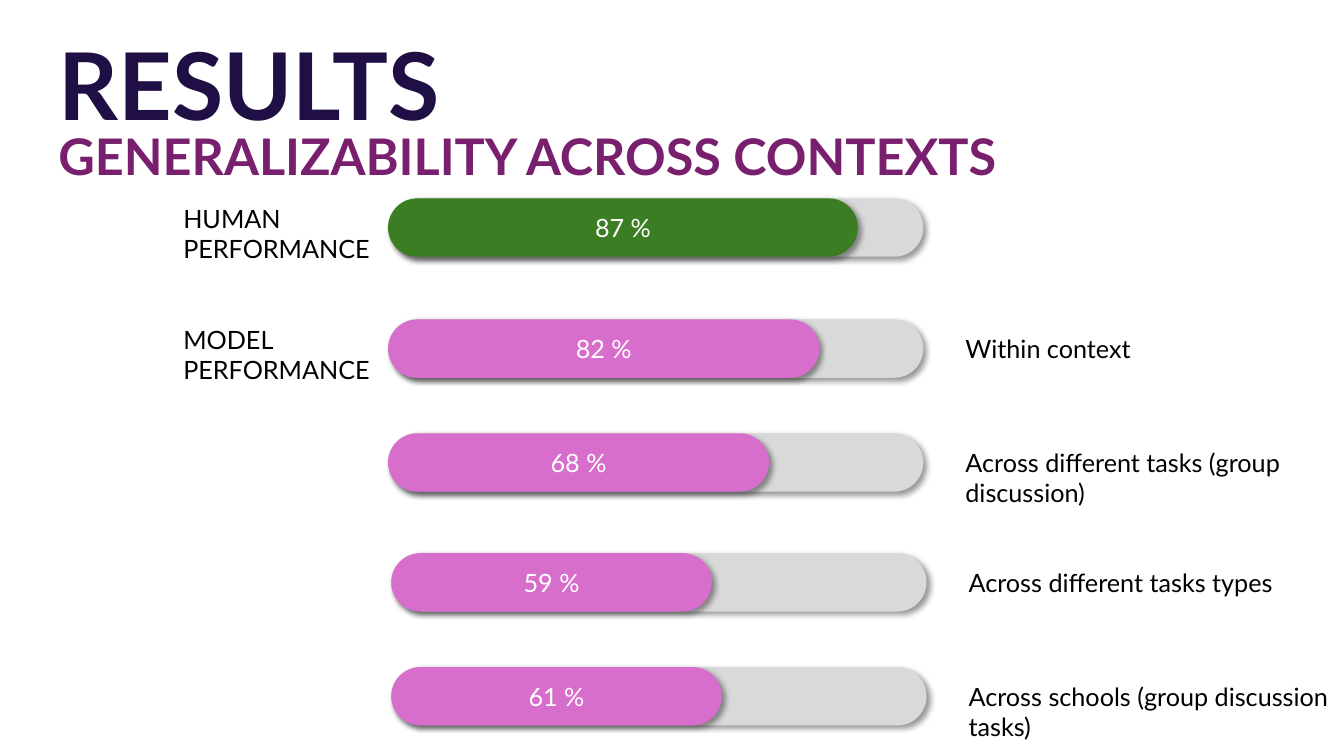
from lxml.etree import SubElement
from pptx import Presentation
from pptx.dml.color import RGBColor
from pptx.enum.shapes import MSO_SHAPE
from pptx.enum.text import MSO_ANCHOR, PP_ALIGN
from pptx.oxml.ns import qn
from pptx.util import Cm, Pt

FONT = "Lato"
GREEN, PINK, GREY = "3B7D23", "D86ECC", "D9D9D9"
BLACK, WHITE = "000000", "FFFFFF"

# text, top, height, size, colour
HEADS = [
    ("RESULTS", 0.56, 3.1, 66.7, "1F0F44"),
    ("GENERALIZABILITY ACROSS CONTEXTS", 3.02, 1.8, 36, "78206E"),
]
# label, note, value, left, top, filled width, colour
ROWS = [
    ("HUMAN PERFORMANCE", "", "87 %", 9.78, 5.0, 11.84, GREEN),
    ("MODEL PERFORMANCE", "Within context", "82 %", 9.78, 8.05, 10.87, PINK),
    ("", "Across different tasks (group discussion)", "68 %",
     9.78, 10.92, 9.6, PINK),
    ("", "Across different tasks types", "59 %", 9.86, 13.94, 8.08, PINK),
    ("", "Across schools (group discussion tasks)", "61 %",
     9.86, 16.81, 8.33, PINK),
]
HEAD_X, HEAD_W = 1.22, 31.3
LABEL_X, LABEL_W = 4.37, 5.44
BAR_W, BAR_H = 13.49, 1.47
NOTE_DX, NOTE_DY, NOTE_W = 14.3, 0.23, 9.78
TEXT_H = 1.8


def paint(color, code):
    color.rgb = RGBColor.from_string(code)


def write(frame, text, size, code, bold=False):
    frame.word_wrap = True
    para = frame.paragraphs[0]
    para.text = text
    font = para.font
    font.name, font.size, font.bold = FONT, Pt(size), bold
    paint(font.color, code)
    return para


def add_text(slide, text, x, y, w, h, size=18, code=BLACK, bold=False):
    box = slide.shapes.add_textbox(Cm(x), Cm(y), Cm(w), Cm(h))
    write(box.text_frame, text, size, code, bold)


def add_shade(bar):
    """Give the bar a soft shadow to the lower right."""
    bar.shadow.inherit = False
    effects = bar._element.spPr.find(qn("a:effectLst"))
    shade = SubElement(effects, qn("a:outerShdw"), blurRad=str(Pt(4)),
                       dist=str(Pt(3)), dir=str(45 * 60000),
                       algn="tl", rotWithShape="0")
    black = SubElement(shade, qn("a:srgbClr"), val=BLACK)
    SubElement(black, qn("a:alpha"), val="40000")


def add_bar(slide, x, y, w, code, text=""):
    bar = slide.shapes.add_shape(MSO_SHAPE.ROUNDED_RECTANGLE,
                                 Cm(x), Cm(y), Cm(w), Cm(BAR_H))
    bar.adjustments[0] = 0.5
    bar.fill.solid()
    paint(bar.fill.fore_color, code)
    bar.line.fill.background()
    add_shade(bar)
    if text:
        bar.text_frame.vertical_anchor = MSO_ANCHOR.MIDDLE
        write(bar.text_frame, text, 18, WHITE).alignment = PP_ALIGN.CENTER


def main():
    deck = Presentation()
    deck.slide_width, deck.slide_height = Cm(33.87), Cm(19.05)
    slide = deck.slides.add_slide(deck.slide_layouts[6])
    for text, y, h, size, code in HEADS:
        add_text(slide, text, HEAD_X, y, HEAD_W, h, size, code, True)
    for label, note, value, x, y, filled, code in ROWS:
        add_bar(slide, x, y, BAR_W, GREY)
        add_bar(slide, x, y, filled, code, value)
        if label:
            add_text(slide, label, LABEL_X, y, LABEL_W, TEXT_H)
        if note:
            add_text(slide, note, x + NOTE_DX, y + NOTE_DY, NOTE_W, TEXT_H)
    deck.save("out.pptx")


if __name__ == "__main__":
    main()
